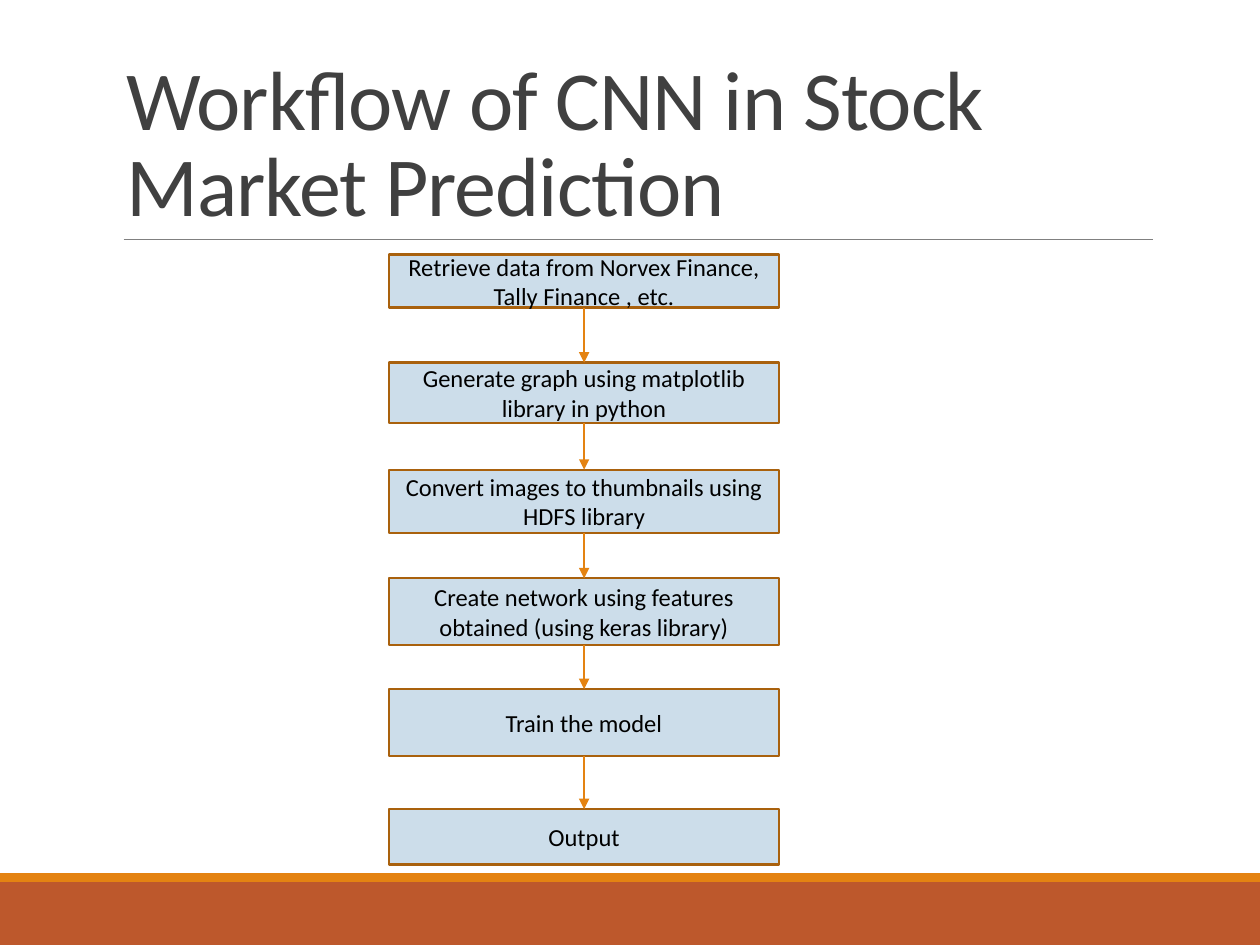
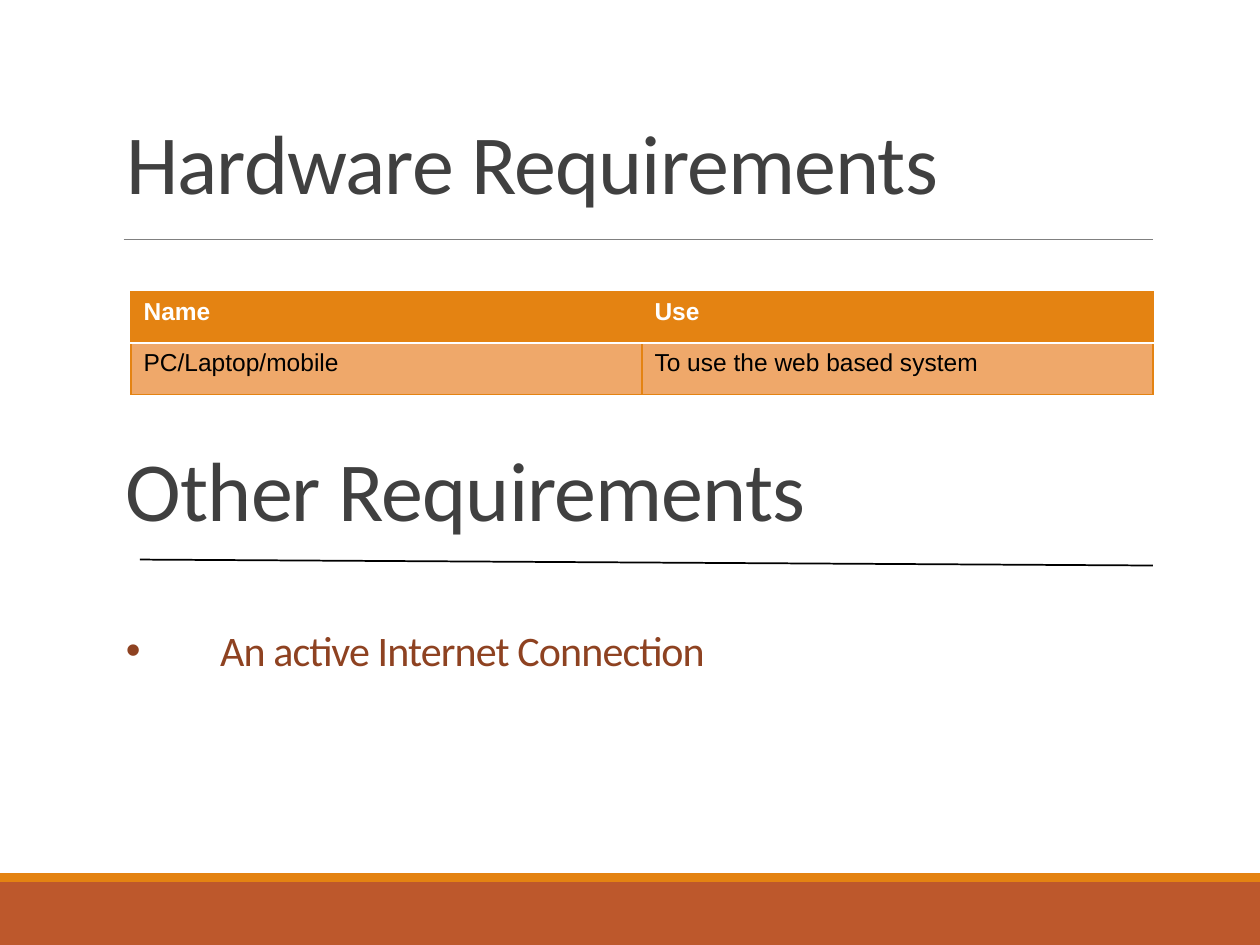
from lxml.etree import SubElement
from pptx import Presentation
from pptx.dml.color import RGBColor
from pptx.enum.shapes import MSO_CONNECTOR as CONN, MSO_SHAPE as SHAPE
from pptx.enum.text import MSO_ANCHOR as ANCHOR, MSO_AUTO_SIZE as AUTO, PP_ALIGN as ALIGN
from pptx.oxml.ns import qn
from pptx.util import Cm, Pt

COLORS = {
    "band": "BD582C", "accent": "E48312", "rule": "808080", "title": "404040",
    "step": "CCDDEA", "step_line": "A9610D", "cell": "EFA86A",
    "bullet": "8E4221", "black": "000000", "white": "FFFFFF",
}
LEFT, WIDTH, RIGHT = 2.29, 20.96, 23.24
HEADING = dict(size=48, color="title", spacing=-50, line_spacing=0.85)
STEPS = [
    ("Retrieve data from Norvex Finance, Tally Finance , etc.", 0, 1.07),
    ("Generate graph using matplotlib library in python", 2.18, 1.22),
    ("Convert images to thumbnails using HDFS library", 4.34, 1.27),
    ("Create network using features obtained (using keras library)", 6.53, 1.35),
    ("Train the model", 8.76, 1.35),
    ("Output", 11.18, 1.12),
]
HARDWARE = [("Name", "Use"), ("PC/Laptop/mobile", "To use the web based system")]


def rgb(name):
    """Return the palette colour called name."""
    return RGBColor.from_string(COLORS[name])


def write(tf, text, size=14, color="black", font="Calibri", bold=False, align=ALIGN.LEFT,
          anchor=ANCHOR.TOP, spacing=None, line_spacing=None, bullet=None, indent=0):
    """Write one formatted paragraph into a text frame and return it."""
    tf.word_wrap = True
    tf.vertical_anchor = anchor
    p = tf.paragraphs[0]
    p.alignment = align
    if line_spacing:
        p.line_spacing = line_spacing
    if bullet:
        pPr = p._p.get_or_add_pPr()
        pPr.set("marL", str(Cm(indent)))
        pPr.set("indent", str(-Cm(indent)))
        SubElement(pPr, qn("a:buFont"), typeface="Arial")
        SubElement(pPr, qn("a:buChar"), char=bullet)
    r = p.add_run()
    r.text = text
    r.font.size, r.font.name, r.font.bold = Pt(size), font, bold
    r.font.color.rgb = rgb(color)
    if spacing:
        r._r.get_or_add_rPr().set("spc", str(spacing))
    return p


def add_rect(s, x, y, w, h, fill, line=None):
    """Add a flat rectangle, with an outline if a line colour is given."""
    sp = s.shapes.add_shape(SHAPE.RECTANGLE, Cm(x), Cm(y), Cm(w), Cm(h))
    sp.shadow.inherit = False
    sp.fill.solid()
    sp.fill.fore_color.rgb = rgb(fill)
    if line:
        sp.line.color.rgb = rgb(line)
        sp.line.width = Pt(1.25)
    else:
        sp.line.fill.background()
    return sp


def add_line(s, x1, y1, x2, y2, color, width=1, arrow=False):
    """Add a straight line, optionally with an arrowhead at its end."""
    c = s.shapes.add_connector(CONN.STRAIGHT, Cm(x1), Cm(y1), Cm(x2), Cm(y2))
    c.line.color.rgb = rgb(color)
    c.line.width = Pt(width)
    if arrow:
        SubElement(c.line._get_or_add_ln(), qn("a:tailEnd"), type="triangle")
    SubElement(c._element.spPr, qn("a:effectLst"))
    return c


def add_text(s, text, x, y, w, h, **fmt):
    """Add a bottom-anchored text box."""
    sp = s.shapes.add_textbox(Cm(x), Cm(y), Cm(w), Cm(h))
    write(sp.text_frame, text, anchor=ANCHOR.BOTTOM, **fmt)


def add_titled_slide(prs, text, y, h):
    """Add a slide with the shared footer bands, title rule and title."""
    s = prs.slides.add_slide(prs.slide_layouts[5])
    add_rect(s, 0, 17.78, 25.4, 1.27, "band")
    add_rect(s, 0, 17.6, 25.4, 0.18, "accent")
    add_line(s, 2.49, 4.83, RIGHT, 4.83, "rule", 0.5)
    title = s.shapes.title
    title.left, title.top, title.width, title.height = Cm(LEFT), Cm(y), Cm(WIDTH), Cm(h)
    title.text_frame.auto_size = AUTO.NONE
    write(title.text_frame, text, anchor=ANCHOR.BOTTOM, **HEADING)
    return s


def add_flow(s, steps, x, y, w):
    """Stack the steps in a column and join neighbours with arrows."""
    boxes = []
    for text, offset, h in steps:
        sp = add_rect(s, x, y + offset, w, h, "step", "step_line")
        write(sp.text_frame, text, align=ALIGN.CENTER, anchor=ANCHOR.MIDDLE)
        boxes.append(sp)
    for upper, lower in zip(boxes, boxes[1:]):
        c = add_line(s, x, y, x, y, "accent", arrow=True)
        c.begin_connect(upper, 2)
        c.end_connect(lower, 0)


def set_border(cell, side, color, width):
    """Draw one side (L, R, T or B) of a table cell."""
    ln = SubElement(cell._tc.get_or_add_tcPr(), qn(f"a:ln{side}"), w=str(Pt(width)))
    SubElement(SubElement(ln, qn("a:solidFill")), qn("a:srgbClr"), val=COLORS[color])


def add_requirements(s, rows, x, y, w, row_h):
    """Add a table with a header row and equal columns."""
    frame = s.shapes.add_table(len(rows), len(rows[0]), Cm(x), Cm(y), Cm(w), Cm(row_h * len(rows)))
    for i, row in enumerate(rows):
        header = i == 0
        for j, text in enumerate(row):
            cell = frame.table.cell(i, j)
            for side in "LRTB":
                white = side == ("B" if header else "T")
                set_border(cell, side, *(("white", 1.25) if white else ("accent", 1)))
            cell.fill.solid()
            cell.fill.fore_color.rgb = rgb("accent" if header else "cell")
            write(cell.text_frame, text, font="Arial", bold=header,
                  color="white" if header else "black")


def build_workflow(prs):
    """Build the workflow slide."""
    s = add_titled_slide(prs, "Workflow of CNN in Stock Market Prediction", 0.79, 4.04)
    add_flow(s, STEPS, 7.85, 5.13, 7.85)


def build_requirements(prs):
    """Build the requirements slide."""
    s = add_titled_slide(prs, "Hardware Requirements", 1.83, 2.57)
    add_requirements(s, HARDWARE, 2.64, 5.89, 20.6, 1.03)
    add_text(s, "Other Requirements", LEFT, 8.41, WIDTH, 2.57, **HEADING)
    add_line(s, 2.82, 11.28, RIGHT, 11.4, "black")
    add_text(s, "An active Internet Connection", LEFT, 12.07, WIDTH, 1.67, size=24,
             color="bullet", spacing=-50, line_spacing=0.85, bullet="•", indent=1.9)


def main():
    """Build and save the presentation."""
    prs = Presentation()
    prs.slide_width, prs.slide_height = Cm(25.4), Cm(19.05)
    build_workflow(prs)
    build_requirements(prs)
    prs.save("out.pptx")


if __name__ == "__main__":
    main()
